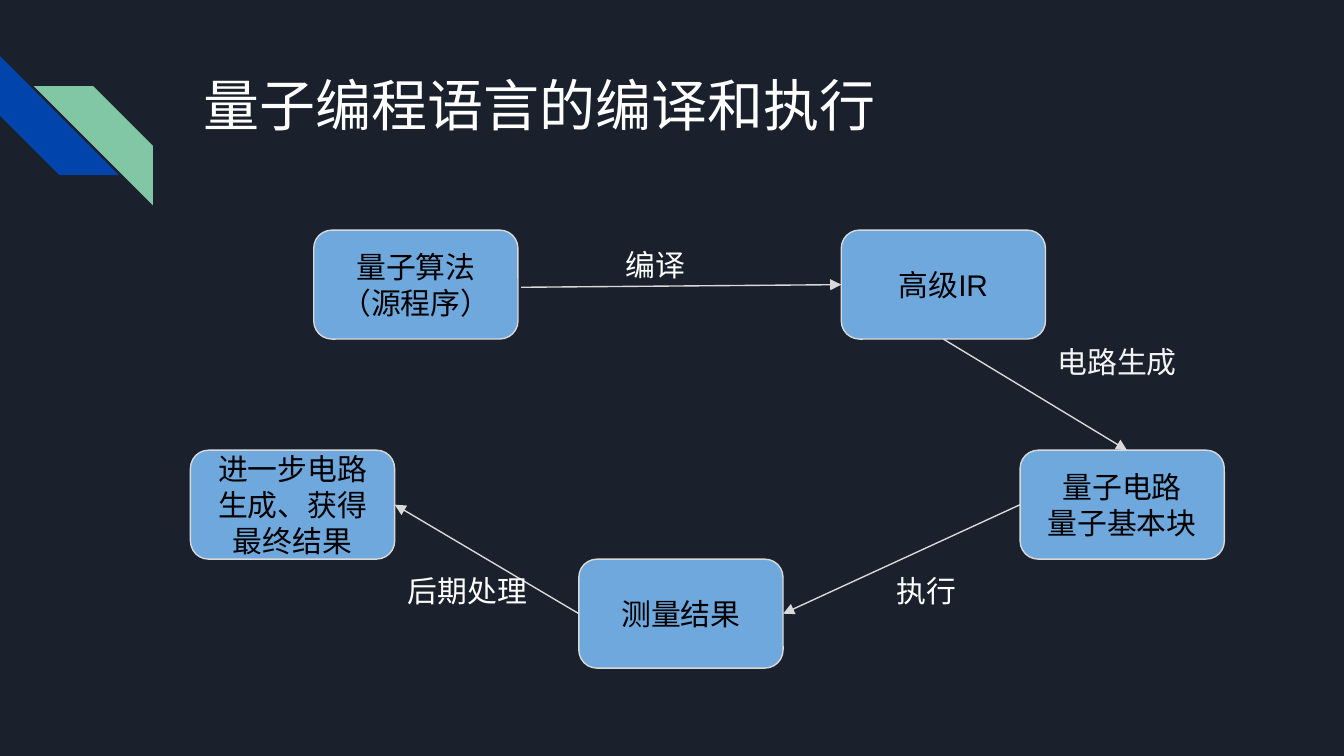
from lxml.etree import SubElement
from pptx import Presentation
from pptx.dml.color import RGBColor
from pptx.enum.shapes import MSO_CONNECTOR as CONNECTOR, MSO_SHAPE as SHAPE
from pptx.enum.text import MSO_ANCHOR as ANCHOR, PP_ALIGN as ALIGN
from pptx.oxml.ns import qn
from pptx.util import Cm, Pt

COLORS = {
    "background": "1B212C", "blue": "0145AC", "green": "82C7A5",
    "box": "6FA8DC", "line": "D9D9D9", "black": "000000",
    "white": "FFFFFF", "pale": "F3F3F3",
}


def color(name):
    return RGBColor.from_string(COLORS[name])


def write(shape, text, size, font_name, color_name, align=ALIGN.LEFT, anchor=ANCHOR.TOP):
    frame = shape.text_frame
    frame.word_wrap = True
    frame.vertical_anchor = anchor
    frame.margin_left = frame.margin_right = Cm(0.25)
    frame.margin_top = frame.margin_bottom = Cm(0.25)
    frame.text = text
    for paragraph in frame.paragraphs:
        paragraph.alignment = align
        paragraph.font.size = Pt(size)
        paragraph.font.name = font_name
        paragraph.font.color.rgb = color(color_name)


presentation = Presentation()
presentation.slide_width, presentation.slide_height = Cm(25.4), Cm(14.29)
slide = presentation.slides.add_slide(presentation.slide_layouts[6])
slide.background.fill.solid()
slide.background.fill.fore_color.rgb = color("background")
shapes = slide.shapes

# Corner stripes
stripes = []
for left, top, fill in [(0, 1.06, "blue"), (0.64, 1.63, "green")]:
    stripe = shapes.add_shape(SHAPE.DIAGONAL_STRIPE, Cm(left), Cm(top), Cm(2.25), Cm(2.25))
    stripe.adjustments[0] = 0.5
    stripe.shadow.inherit = False
    stripe.fill.solid()
    stripe.fill.fore_color.rgb = color(fill)
    stripe.line.fill.background()
    stripes.append(stripe)
blue_stripe, green_stripe = stripes
blue_stripe.rotation = 270
green_stripe._element.spPr.find(qn("a:xfrm")).set("flipH", "1")

# Title
title = shapes.add_textbox(Cm(3.6), Cm(1.09), Cm(19.56), Cm(2.54))
write(title, "量子编程语言的编译和执行", 30, "Montserrat", "white")

# Process steps
steps = [
    (5.93, 4.35, "量子算法\n（源程序）"),
    (15.9, 4.35, "高级IR"),
    (19.28, 8.51, "量子电路\n量子基本块"),
    (10.94, 10.57, "测量结果"),
    (3.6, 8.51, "进一步电路生成、获得最终结果"),
]
for left, top, text in steps:
    box = shapes.add_shape(SHAPE.ROUNDED_RECTANGLE, Cm(left), Cm(top), Cm(3.86), Cm(2.06))
    box.shadow.inherit = False
    box.fill.solid()
    box.fill.fore_color.rgb = color("box")
    box.line.color.rgb = color("line")
    box.line.width = Pt(0.75)
    write(box, text, 16, "Arial", "black", ALIGN.CENTER, ANCHOR.MIDDLE)

# Arrows between steps
arrows = [
    (9.85, 5.43, 15.9, 5.38),
    (17.83, 6.41, 21.3, 8.51),
    (19.28, 9.54, 14.8, 11.6),
    (10.94, 11.6, 7.46, 9.54),
]
for ends in arrows:
    arrow = shapes.add_connector(CONNECTOR.STRAIGHT, *[Cm(value) for value in ends])
    arrow.line.color.rgb = color("line")
    arrow.line.width = Pt(0.75)
    SubElement(arrow.line._get_or_add_ln(), qn("a:tailEnd"), type="triangle")
    SubElement(arrow._element.spPr, qn("a:effectLst"))

# Arrow labels
labels = [
    (11.58, 4.42, 1.88, "编译", "white"),
    (19.74, 6.25, 2.95, "电路生成", "pale"),
    (16.69, 10.57, 1.88, "执行", "white"),
    (7.46, 10.57, 2.95, "后期处理", "white"),
]
for left, top, width, text, color_name in labels:
    label = shapes.add_textbox(Cm(left), Cm(top), Cm(width), Cm(0.97))
    write(label, text, 16, "Arial", color_name)

presentation.save("out.pptx")
